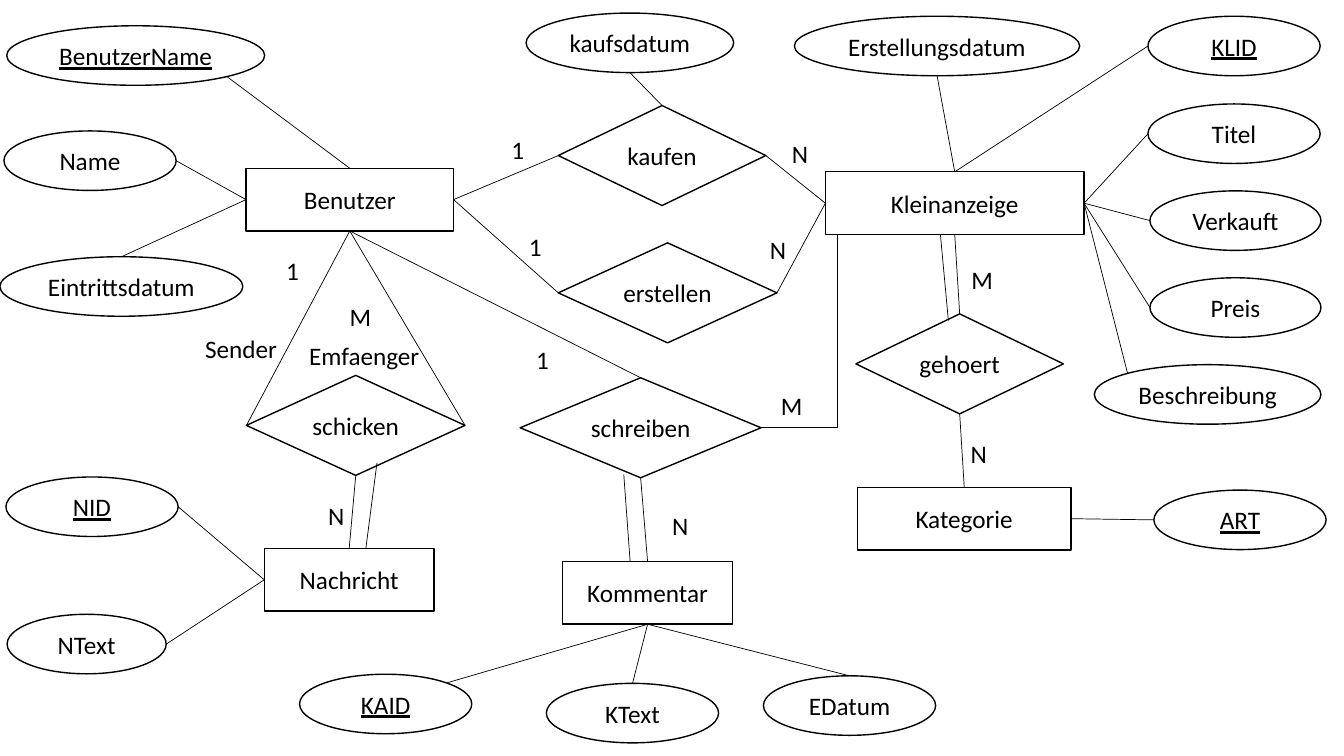
from lxml.etree import SubElement
from pptx import Presentation
from pptx.dml.color import RGBColor
from pptx.enum.shapes import MSO_CONNECTOR, MSO_SHAPE
from pptx.enum.text import MSO_ANCHOR, MSO_AUTO_SIZE, PP_ALIGN
from pptx.oxml.ns import qn
from pptx.util import Cm, Pt

# Content: name, left, top, width in cm
ATTRIBUTES = [
    ("KLID", 28.93, 0.41, 4.34), ("Titel", 28.93, 2.62, 4.34),
    ("Verkauft", 28.98, 4.81, 4.31), ("Preis", 28.98, 7.0, 4.31),
    ("Beschreibung", 27.58, 9.19, 5.71), ("Erstellungsdatum", 20.02, 0.41, 7.19),
    ("Eintrittsdatum", 0, 6.47, 6.12), ("Name", 0.1, 3.3, 4.34),
    ("BenutzerName", 0.17, 0.65, 6.5), ("kaufsdatum", 13.26, 0.33, 5.23),
    ("NID", 0.15, 12.02, 4.34), ("NText", 0.18, 15.48, 4.01),
    ("ART", 29.08, 12.35, 4.34), ("KAID", 7.55, 16.99, 4.34),
    ("KText", 13.77, 17.22, 4.34), ("EDatum", 19.24, 17.03, 4.34),
]
ENTITIES = [
    ("Kleinanzeige", 20.8, 4.33, 6.52), ("Kategorie", 21.61, 12.28, 5.38),
    ("Benutzer", 6.2, 4.24, 5.23), ("Kommentar", 14.18, 14.15, 4.28),
    ("Nachricht", 6.66, 13.82, 4.28),
]
RELATIONS = [
    ("gehoert", 21.57, 7.91, 5.23), ("kaufen", 14.07, 2.66, 5.23),
    ("erstellen", 14.07, 6.12, 5.51), ("schreiben", 13.11, 9.52, 6.07),
    ("schicken", 6.21, 9.46, 5.51),
]
KEYS = {"KLID", "BenutzerName", "NID", "ART", "KAID"}
KINDS = [
    (MSO_SHAPE.OVAL, 1.5, ATTRIBUTES),
    (MSO_SHAPE.RECTANGLE, 1.58, ENTITIES),
    (MSO_SHAPE.DIAMOND, 2.52, RELATIONS),
]
# From, side, to, side
LINKS = [
    ("Erstellungsdatum", "bottom", "Kleinanzeige", "top"),
    ("KLID", "left", "Kleinanzeige", "top"),
    ("Titel", "left", "Kleinanzeige", "right"),
    ("Verkauft", "left", "Kleinanzeige", "right"),
    ("Preis", "left", "Kleinanzeige", "right"),
    ("Beschreibung", "top left", "Kleinanzeige", "right"),
    ("ART", "left", "Kategorie", "right"),
    ("Kleinanzeige", "bottom", "gehoert", "top"),
    ("gehoert", "bottom", "Kategorie", "top"),
    ("kaufsdatum", "bottom", "kaufen", "top"),
    ("kaufen", "left", "Benutzer", "right"),
    ("kaufen", "right", "Kleinanzeige", "left"),
    ("Benutzer", "right", "erstellen", "left"),
    ("erstellen", "right", "Kleinanzeige", "left"),
    ("BenutzerName", "bottom right", "Benutzer", "top"),
    ("Name", "right", "Benutzer", "left"),
    ("Eintrittsdatum", "top", "Benutzer", "left"),
    ("NID", "right", "Nachricht", "left"),
    ("NText", "right", "Nachricht", "left"),
    ("KAID", "top right", "Kommentar", "bottom"),
    ("KText", "top", "Kommentar", "bottom"),
    ("EDatum", "top", "Kommentar", "bottom"),
    ("schicken", "bottom", "Nachricht", "top"),
    ("schicken", "left", "Benutzer", "bottom"),
    ("Benutzer", "bottom", "schicken", "right"),
    ("schreiben", "top", "Benutzer", "bottom"),
    ("schreiben", "bottom", "Kommentar", "top"),
]
# Second strokes of the double lines: from x, y, to x, y in cm
SECOND_STROKES = [
    (23.7, 5.92, 23.9, 8.08), (15.72, 11.96, 15.88, 14.15), (9.5, 11.66, 9.22, 13.82),
]
ELBOW_END = (21.1, 5.91)
# Text, left, top in cm
LABELS = [
    ("M", 24.23, 6.53), ("N", 24.21, 10.92), ("N", 19.71, 3.36), ("1", 12.64, 3.26),
    ("N", 19.15, 5.79), ("1", 13.08, 5.71), ("1", 6.96, 6.32), ("Emfaenger", 7.54, 8.46),
    ("Sender", 4.92, 8.28), ("N", 16.69, 12.73), ("M", 19.43, 9.7), ("1", 13.26, 8.54),
    ("M", 8.56, 7.47), ("N", 8.02, 12.48),
]
LABEL_WIDTHS = {"1": 0.84, "N": 0.91, "M": 1.07, "Sender": 2.34, "Emfaenger": 3.33}
SITES = {"top": 0, "left": 1, "bottom": 2, "right": 3}
STEPS = {"top": (0, -1), "bottom": (0, 1), "left": (-1, 0), "right": (1, 0)}
BLACK, WHITE = "000000", "FFFFFF"


def color(value):
    return RGBColor.from_string(value)


def write(s, text):
    p = s.text_frame.paragraphs[0]
    p.text = text
    p.font.name, p.font.size = "Calibri", Pt(18)
    p.font.color.rgb = color(BLACK)
    return p


def add_node(slide, kind, name, x, y, w, h):
    s = slide.shapes.add_shape(kind, Cm(x), Cm(y), Cm(w), Cm(h))
    s.shadow.inherit = False
    s.fill.solid()
    s.fill.fore_color.rgb = color(WHITE)
    s.line.color.rgb, s.line.width = color(BLACK), Pt(1)
    tf = s.text_frame
    tf.margin_left = tf.margin_right = 0
    tf.vertical_anchor = MSO_ANCHOR.MIDDLE
    p = write(s, name)
    p.alignment = PP_ALIGN.CENTER
    if name in KEYS:
        p.font.underline = True
    return s


def point(s, side):
    """Point on the outline: a side's middle, or an ellipse's diagonal."""
    steps = [STEPS[word] for word in side.split()]
    scale = 0.5 / len(steps) ** 0.5
    dx, dy = (sum(axis) * scale for axis in zip(*steps))
    return round(s.left + s.width * (0.5 + dx)), round(s.top + s.height * (0.5 + dy))


def add_line(slide, start, end, kind=MSO_CONNECTOR.STRAIGHT):
    c = slide.shapes.add_connector(kind, *start, *end)
    c.line.color.rgb, c.line.width = color(BLACK), Pt(0.5)
    SubElement(c._element.spPr, qn("a:effectLst"))
    return c


def main():
    prs = Presentation()
    prs.slide_width, prs.slide_height = Cm(33.87), Cm(19.05)
    slide = prs.slides.add_slide(prs.slide_layouts[6])

    # Attributes, entities and relations
    nodes = {}
    for kind, height, items in KINDS:
        for name, x, y, w in items:
            nodes[name] = add_node(slide, kind, name, x, y, w, height)

    # Lines, joined to rectangles and diamonds
    for start, start_side, end, end_side in LINKS:
        a, b = nodes[start], nodes[end]
        c = add_line(slide, point(a, start_side), point(b, end_side))
        if a.auto_shape_type != MSO_SHAPE.OVAL:
            c.begin_connect(a, SITES[start_side])
        c.end_connect(b, SITES[end_side])
    for stroke in SECOND_STROKES:
        x1, y1, x2, y2 = map(Cm, stroke)
        add_line(slide, (x1, y1), (x2, y2))

    # Single-bend line from schreiben up to Kleinanzeige
    elbow = add_line(slide, point(nodes["schreiben"], "right"),
                     [Cm(v) for v in ELBOW_END], MSO_CONNECTOR.ELBOW)
    elbow._element.spPr.find(qn("a:prstGeom")).set("prst", "bentConnector2")

    # Cardinalities and roles
    for text, x, y in LABELS:
        s = slide.shapes.add_textbox(Cm(x), Cm(y), Cm(LABEL_WIDTHS[text]), Cm(1.02))
        s.text_frame.word_wrap = False
        s.text_frame.auto_size = MSO_AUTO_SIZE.SHAPE_TO_FIT_TEXT
        write(s, text)

    prs.save("out.pptx")


if __name__ == "__main__":
    main()
